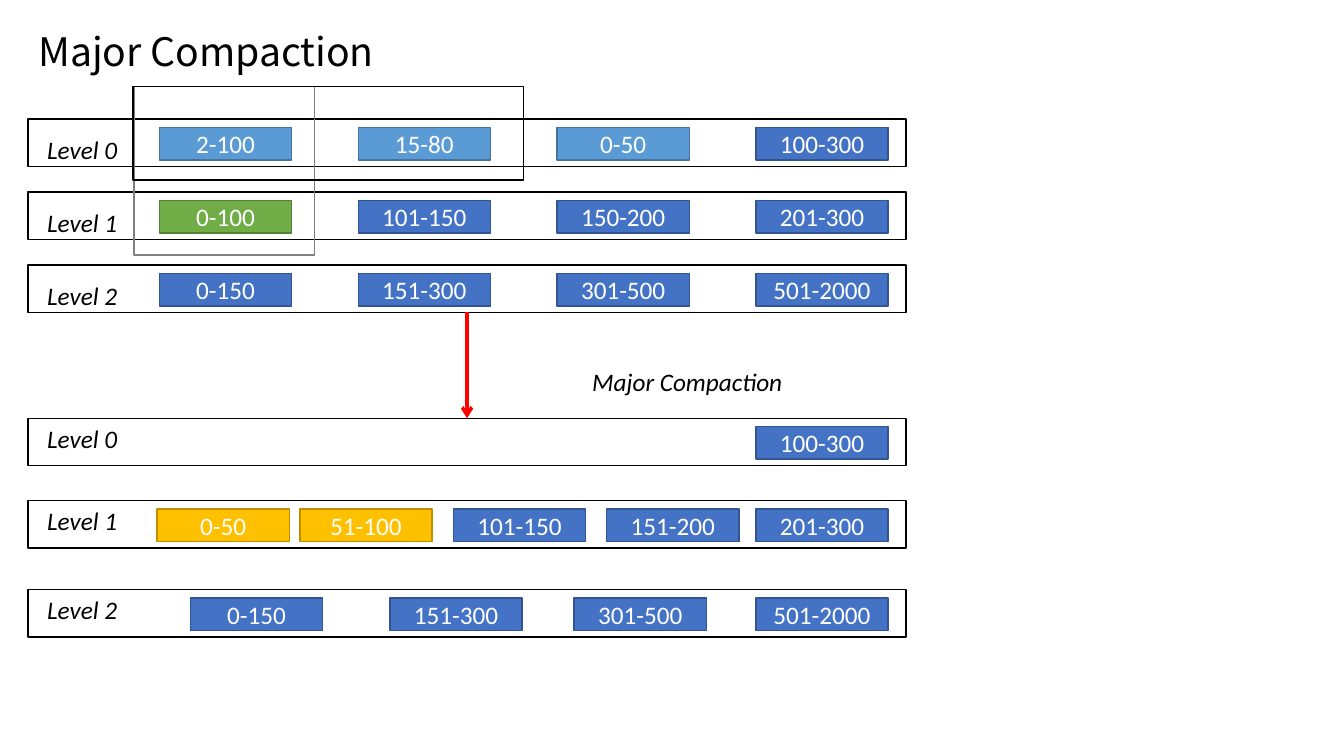
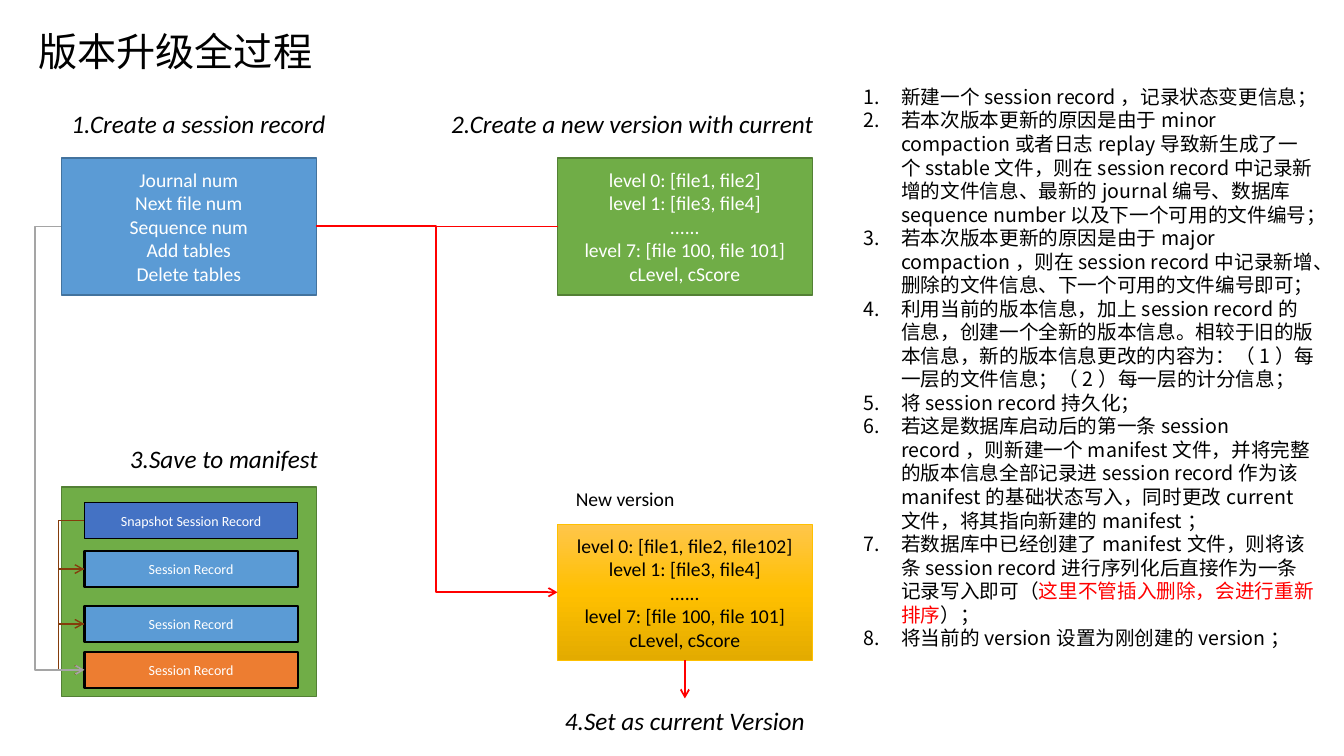
from copy import deepcopy

from pptx import Presentation
from pptx import util as u
from pptx.dml.color import RGBColor
from pptx.enum import shapes, text
from pptx.oxml.ns import qn

BLACK = RGBColor(0x00, 0x00, 0x00)
WHITE = RGBColor(0xFF, 0xFF, 0xFF)
GRAY = RGBColor(0x80, 0x80, 0x80)
SILVER = RGBColor(0xA5, 0xA5, 0xA5)
RED = RGBColor(0xFF, 0x00, 0x00)
BROWN = RGBColor(0x84, 0x3C, 0x0B)
ORANGE = RGBColor(0xED, 0x7D, 0x31)
BLUE = RGBColor(0x44, 0x72, 0xC4)
SKY = RGBColor(0x5B, 0x9B, 0xD5)
GREEN = RGBColor(0x70, 0xAD, 0x47)
GOLD = RGBColor(0xFF, 0xC0, 0x00)
GOLD_LIGHT = RGBColor(0xFF, 0xC6, 0x4B)
GOLD_DARK = RGBColor(0xE3, 0xAB, 0x00)
EDGES = {
    BLUE: RGBColor(0x32, 0x54, 0x91),
    SKY: RGBColor(0x43, 0x73, 0x9E),
    GREEN: RGBColor(0x53, 0x80, 0x35),
    GOLD: RGBColor(0xBD, 0x8E, 0x00),
    WHITE: WHITE,
}

LATIN = "Calibri"
CJK = "Noto Sans CJK JP"
TITLE = {"size": u.Pt(28), "name": CJK}
LIST = {"size": u.Pt(14), "name": CJK}
CELL = {"size": u.Pt(18), "name": LATIN}
LABEL = {"size": u.Pt(18), "name": LATIN, "italic": True}
BODY = {"size": u.Pt(14), "name": LATIN}
SMALL = {"size": u.Pt(10), "name": LATIN}

TOP, LEFT, BOTTOM, RIGHT = range(4)

BAND_LEFT, BAND_WIDTH, BAND_HEIGHT = 0.71, 22.12, 1.19
CELL_WIDTH, CELL_HEIGHT, CELL_INSET = 3.33, 0.82, 0.21
COLUMNS = [4.02 + 5.01 * column for column in range(4)]
LAST = COLUMNS[-1]

LEVELS_BEFORE = [
    [("2-100", SKY), ("15-80", SKY), ("0-50", SKY), ("100-300", BLUE)],
    [("0-100", GREEN), ("101-150", BLUE), ("150-200", BLUE), ("201-300", BLUE)],
    [("0-150", BLUE), ("151-300", BLUE), ("301-500", BLUE), ("501-2000", BLUE)],
]
LEVELS_AFTER = [
    (10.54, [("100-300", BLUE, LAST)]),
    (12.62, [("0-50", GOLD, 3.96), ("51-100", GOLD, 7.56),
             ("101-150", BLUE, 11.43), ("151-200", BLUE, 15.29),
             ("201-300", BLUE, LAST)]),
    (14.86, [("0-150", BLUE, 4.8), ("151-300", BLUE, 9.83),
             ("301-500", BLUE, 14.47), ("501-2000", BLUE, LAST)]),
]

JOURNAL = ["Journal num", "Next file num", "Sequence num", "Add tables", "Delete tables"]
VERSION_TAIL = ["level 1: [file3, file4]", "......",
                "level 7: [file 100, file 101]", "cLevel, cScore"]
CAPTIONS = [
    ("1.Create a session record", (0.71, 2.54, 8.59, 1.12), LABEL),
    ("2.Create a new version with current", (10.64, 2.54, 10.59, 1.12), LABEL),
    ("3.Save to manifest", (1.35, 11, 8.59, 1.12), LABEL),
    ("New version", (11.46, 12.01, 8.59, 1.12), BODY),
]
RECORDS = [
    ("Snapshot Session Record", BLUE, 12.67, 1),
    ("Session Record", SKY, 13.89, 1.5),
    ("Session Record", SKY, 15.27, 1.5),
    ("Session Record", ORANGE, 16.43, 1.5),
]
# Each step is a list of (words, colour) spans.
STEPS = [
    [("新建一个session record，记录状态变更信息；", BLACK)],
    [("若本次版本更新的原因是由于minor compaction或者日志replay导致新生成了一个sstable文件，"
      "则在session record中记录新增的文件信息、最新的journal编号、数据库sequence number"
      "以及下一个可用的文件编号；", BLACK)],
    [("若本次版本更新的原因是由于major compaction，则在session record中记录新增、"
      "删除的文件信息、下一个可用的文件编号即可；", BLACK)],
    [("利用当前的版本信息，加上session record的信息，创建一个全新的版本信息。"
      "相较于旧的版本信息，新的版本信息更改的内容为：（1）每一层的文件信息；"
      "（2）每一层的计分信息；", BLACK)],
    [("将session record持久化；", BLACK)],
    [("若这是数据库启动后的第一条session record，则新建一个manifest文件，"
      "并将完整的版本信息全部记录进session record作为该manifest的基础状态写入，"
      "同时更改current文件，将其指向新建的manifest；", BLACK)],
    [("若数据库中已经创建了manifest文件，则将该条session record进行序列化后"
      "直接作为一条记录写入即可（", BLACK),
     ("这里不管插入删除，会进行重新排序", RED), ("）；", BLACK)],
    [("将当前的version设置为刚创建的version；", BLACK)],
]


class Sketch:
    """Draws on the current slide; all places and sizes are in centimetres."""

    def __init__(self):
        self.deck = Presentation()
        self.deck.slide_width, self.deck.slide_height = u.Cm(33.87), u.Cm(19.05)
        self.page = None

    def new_page(self, layout, title, width):
        self.page = self.deck.slides.add_slide(self.deck.slide_layouts[layout])
        heading = self.page.shapes.title
        self.place(heading, (0.71, 0.56, width, 1.45))
        self.set_text(heading, [[(title, BLACK)]], TITLE)

    def place(self, shape, at):
        for side, value in zip(("left", "top", "width", "height"), at):
            setattr(shape, side, u.Cm(value))

    def set_text(self, shape, lines, style, align=text.PP_ALIGN.LEFT,
                 anchor=text.MSO_ANCHOR.TOP, numbered=False):
        """Fill a shape with lines, each a list of (words, colour) spans."""
        frame = shape.text_frame
        layout = {"word_wrap": True, "auto_size": text.MSO_AUTO_SIZE.NONE,
                  "vertical_anchor": anchor}
        for name, value in layout.items():
            setattr(frame, name, value)
        for index, spans in enumerate(lines):
            para = frame.add_paragraph() if index else frame.paragraphs[0]
            para.alignment, para.space_before = align, u.Pt(0)
            if numbered:
                self.number(para)
            for words, color in spans:
                span = para.add_run()
                span.text = words
                span.font.color.rgb = color
                for name, value in style.items():
                    setattr(span.font, name, value)
                if style["name"] == CJK:
                    properties = span.font._element
                    properties.append(properties.makeelement(qn("a:ea"), {"typeface": CJK}))

    def number(self, para):
        properties = para._p.get_or_add_pPr()
        indent = u.Cm(0.95)
        properties.set("marL", str(indent))
        properties.set("indent", str(-indent))
        for tag, settings in (("a:buFont", {"typeface": "+mj-lt"}),
                              ("a:buAutoNum", {"type": "arabicPeriod"})):
            properties.append(properties.makeelement(qn(tag), settings))

    def box(self, at, fill=None, lines=(), style=CELL, ink=WHITE, edge=None, weight=1,
            kind=shapes.MSO_SHAPE.FLOWCHART_PROCESS):
        shape = self.page.shapes.add_shape(kind, *map(u.Cm, at))
        shape.shadow.inherit = False
        if fill is None:
            shape.fill.background()
        else:
            shape.fill.solid()
            shape.fill.fore_color.rgb = fill
        shape.line.color.rgb = EDGES[fill] if edge is None else edge
        shape.line.width = u.Pt(weight)
        self.set_text(shape, [[(line, ink)] for line in lines], style,
                      text.PP_ALIGN.CENTER, text.MSO_ANCHOR.MIDDLE)
        return shape

    def shade(self, shape, colors):
        """Give a shape an even top-to-bottom gradient."""
        shape.fill.gradient()
        shape.fill.gradient_angle = 270
        first = shape._element.xpath(".//a:gs")[0]
        for _ in colors[2:]:
            first.addnext(deepcopy(first))
        for index, (stop, color) in enumerate(zip(shape.fill.gradient_stops, colors)):
            stop.position = index / (len(colors) - 1)
            stop.color.rgb = color

    def caption(self, words, at, style=LABEL):
        return self.box(at, WHITE, [words], style, BLACK)

    def band(self, top, name, cells, label_drop=0):
        """Draw one level: its frame, its name and cells of (words, fill, left)."""
        band = self.box((BAND_LEFT, top, BAND_WIDTH, BAND_HEIGHT), WHITE, edge=BLACK)
        label = self.page.shapes.add_textbox(
            *map(u.Cm, (0.94, top + label_drop, 2.69, 1.02)))
        self.set_text(label, [[(name, BLACK)]], LABEL)
        for words, fill, left in cells:
            self.box((left, top + CELL_INSET, CELL_WIDTH, CELL_HEIGHT), fill, [words])
        return band

    def link(self, start, start_side, end, end_side, color, weight, arrow=True, bend=None):
        """Join two shapes; a bend gives the x of the elbow's upright part."""
        kind = shapes.MSO_CONNECTOR.STRAIGHT if bend is None else shapes.MSO_CONNECTOR.ELBOW
        link = self.page.shapes.add_connector(kind, 0, 0, 0, 0)
        link.begin_connect(start, start_side)
        link.end_connect(end, end_side)
        link.line.color.rgb, link.line.width = color, u.Pt(weight)
        properties = link._element.spPr
        properties.append(properties.makeelement(qn("a:effectLst"), {}))
        if arrow:
            line = properties.get_or_add_ln()
            line.append(line.makeelement(qn("a:tailEnd"), {"type": "arrow"}))
        if bend is not None:
            if link.begin_x == link.end_x:
                # The bend is a share of the width, so the width must not be zero.
                link.end_x = link.begin_x - u.Cm(0.01)
            share = (u.Cm(bend) - link.begin_x) / (link.end_x - link.begin_x)
            guides = properties.find(qn("a:prstGeom")).get_or_add_avLst()
            guides.append(guides.makeelement(
                qn("a:gd"), {"name": "adj1", "fmla": f"val {round(share * 100000)}"}))

    def numbered_list(self, at, steps):
        body = self.page.placeholders[1]
        self.place(body, at)
        self.set_text(body, steps, LIST, numbered=True)


def draw_compaction(sketch):
    sketch.new_page(5, "Major Compaction", 11)
    for level, cells in enumerate(LEVELS_BEFORE):
        placed = [(*cell, left) for cell, left in zip(cells, COLUMNS)]
        before = sketch.band(3 + 1.84 * level, f"Level {level}", placed, 0.25)
    sketch.box((3.38, 2.18, 4.55, 4.25), edge=GRAY, kind=shapes.MSO_SHAPE.RECTANGLE)
    sketch.box((3.35, 2.18, 9.85, 2.36), edge=BLACK)
    after = [sketch.band(top, f"Level {level}", cells)
             for level, (top, cells) in enumerate(LEVELS_AFTER)]
    sketch.link(before, BOTTOM, after[0], TOP, RED, 2.5)
    sketch.caption("Major Compaction", (12.9, 9.04, 8.84, 1.12))


def draw_upgrade(sketch):
    sketch.new_page(1, "版本升级全过程", 8.05)
    journal = sketch.box((1.55, 3.98, 6.42, 3.45), SKY, JOURNAL, BODY)
    sketch.box((1.55, 12.27, 6.42, 5.28), GREEN)
    records = [sketch.box((2.13, top, 5.37, 0.9), fill, [words], SMALL,
                          edge=BLACK, weight=weight)
               for words, fill, top, weight in RECORDS]
    for record, following in zip(records, records[1:]):
        sketch.link(record, LEFT, following, LEFT, BROWN, 1, bend=1.47)
    sketch.link(journal, LEFT, records[-1], LEFT, SILVER, 1.25, bend=0.89)

    current = sketch.box((14.05, 3.98, 6.42, 3.45), GREEN,
                         ["level 0: [file1, file2]"] + VERSION_TAIL, BODY)
    updated = sketch.box((14.05, 13.21, 6.42, 3.43), GOLD,
                         ["level 0: [file1, file2, file102]"] + VERSION_TAIL,
                         BODY, BLACK, GOLD, 0.5)
    sketch.shade(updated, [GOLD_LIGHT, GOLD, GOLD_DARK])
    sketch.link(journal, RIGHT, updated, LEFT, RED, 1.25, bend=11)
    sketch.link(journal, RIGHT, current, LEFT, RED, 1.25, arrow=False)
    final = sketch.caption("4.Set as current Version", (12.96, 17.6, 8.6, 1.12))
    sketch.link(updated, BOTTOM, final, TOP, RED, 1.25)
    for words, at, style in CAPTIONS:
        sketch.caption(words, at, style)
    sketch.numbered_list((21.51, 2.01, 11.94, 14.6), STEPS)


def main():
    sketch = Sketch()
    draw_compaction(sketch)
    draw_upgrade(sketch)
    sketch.deck.save("out.pptx")


if __name__ == "__main__":
    main()
